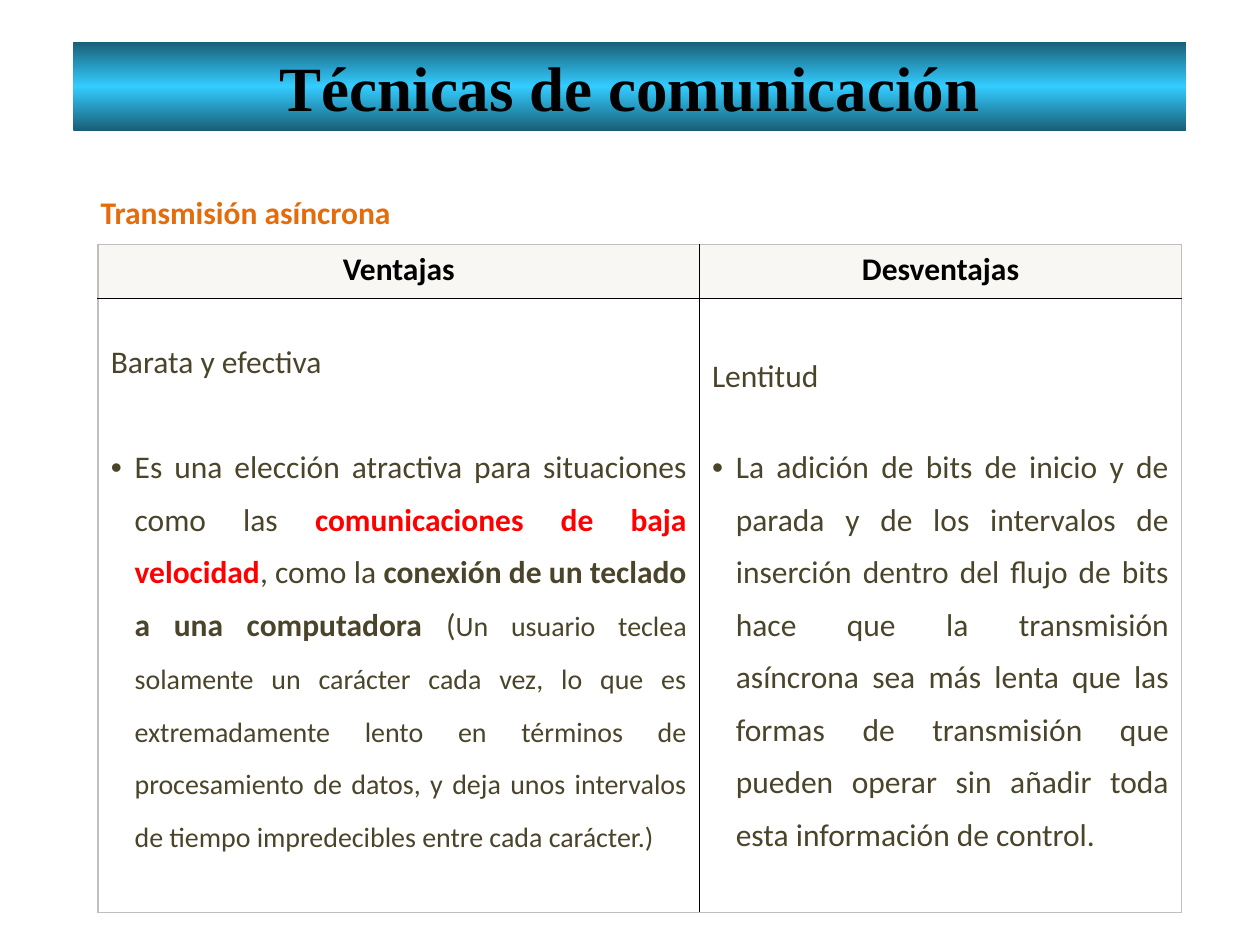
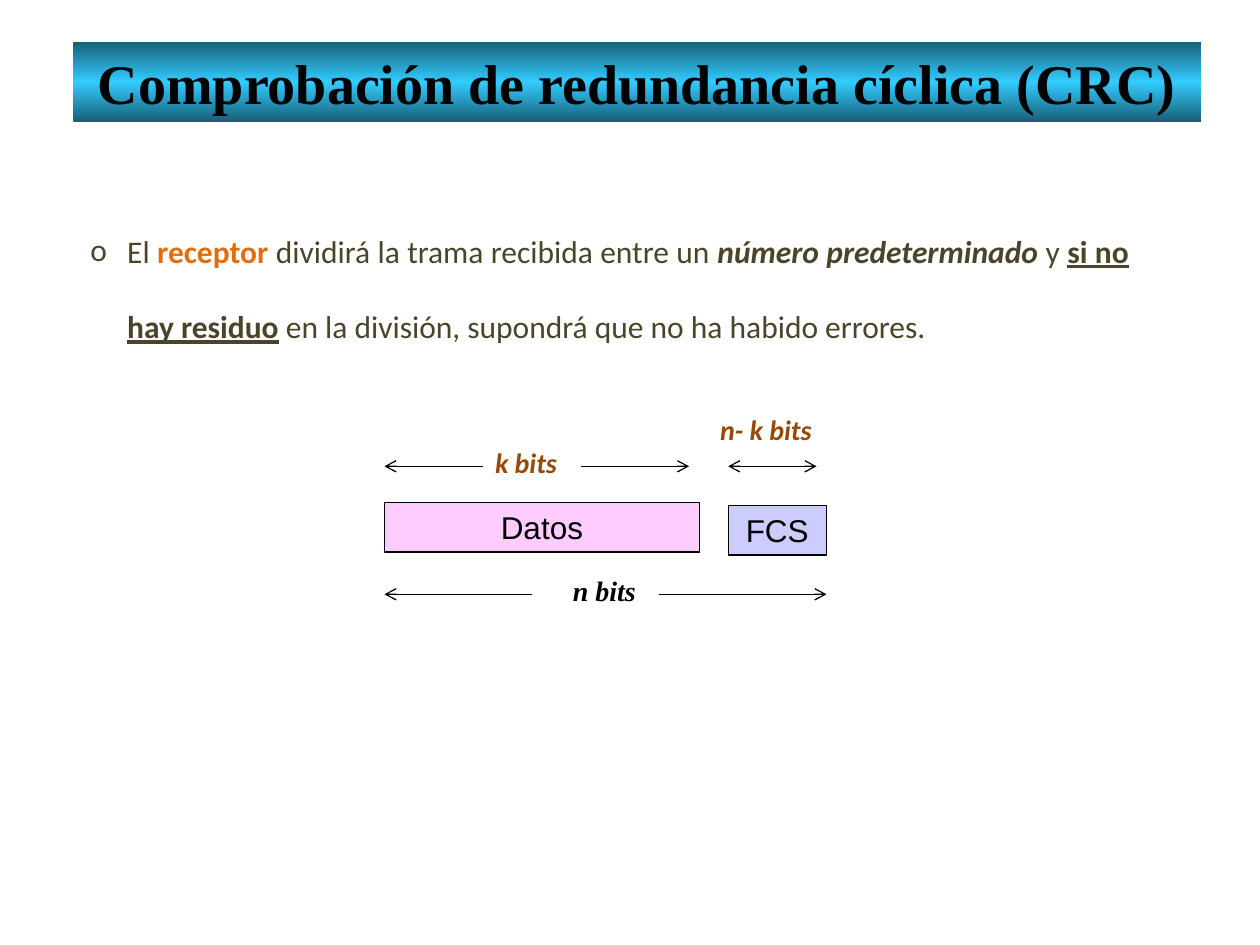
"""Build two slides on asynchronous transmission and cyclic redundancy checks."""
import dataclasses
import typing

import lxml.etree
import pptx
import pptx.dml.color
import pptx.enum.shapes
import pptx.enum.text
import pptx.oxml.ns
import pptx.util

ALIGN = pptx.enum.text.PP_ALIGN
SERIF, SANS, PLAIN = "Times New Roman", "Calibri", "Arial"
BLACK, OLIVE, ORANGE, BROWN, RED = "000000", "4A452A", "E46C0A", "984807", "FF0000"
GREY, CREAM, PINK, LILAC = "BFBFBF", "F8F7F3", "FFCCFF", "CCCCFF"
BAND = ((0, "185E76"), (50, "33CCFF"), (100, "185E76"))
ARROW_Y, TOTAL_Y = 9.4, 11.98


@dataclasses.dataclass
class Box:
    """Place and size in centimetres."""
    left: float
    top: float
    width: float
    height: float

    def edges(self) -> list:
        """Return left, top, width and height as lengths."""
        return [pptx.util.Cm(side) for side in dataclasses.astuple(self)]


@dataclasses.dataclass
class Label:
    """A short caption in bold italics."""
    text: str
    box: Box
    font: str
    color: str


@dataclasses.dataclass
class Field:
    """A filled part of the frame."""
    text: str
    box: Box
    color: str


@dataclasses.dataclass
class Arrow:
    """A level arrow from start to stop."""
    start: float
    stop: float
    top: float
    both: bool = False


def paint(code: str) -> pptx.dml.color.RGBColor:
    """Turn a hex string into a colour."""
    return pptx.dml.color.RGBColor.from_string(code)


def add(parent: typing.Any, tag: str, **attrs: str) -> typing.Any:
    """Append a drawing element to its parent."""
    return lxml.etree.SubElement(parent, pptx.oxml.ns.qn(f"a:{tag}"), attrs)


def tint(parent: typing.Any, code: str) -> None:
    """Add a solid fill element."""
    add(add(parent, "solidFill"), "srgbClr", val=code)


def write(para: typing.Any, text: str, size: float = 18, font: str = SANS,
          color: str = OLIVE, bold: bool = False, italic: bool = False,
          under: bool = False) -> None:
    """Add a formatted run to a paragraph."""
    run = para.add_run()
    run.text = text
    face = run.font
    face.size, face.name = pptx.util.Pt(size), font
    face.bold, face.italic, face.underline = bold, italic, under
    face.color.rgb = paint(color)


def layout(para: typing.Any, align: typing.Any = ALIGN.LEFT, line: typing.Any = 1.0,
           before: float = 0, bullet: str = "", face: str = PLAIN,
           indent: float = 0) -> typing.Any:
    """Set the spacing, alignment and bullet of a paragraph."""
    para.alignment, para.line_spacing = align, line
    para.space_before = pptx.util.Pt(before)
    if bullet:
        props = para._p.get_or_add_pPr()
        shift = pptx.util.Cm(indent)
        props.set("marL", str(int(shift)))
        props.set("indent", str(-int(shift)))
        add(props, "buFont", typeface=face)
        add(props, "buChar", char=bullet)
    return para


def place(shape: typing.Any, box: Box) -> None:
    """Move and size a placeholder."""
    shape.left, shape.top, shape.width, shape.height = box.edges()
    shape.text_frame.auto_size = pptx.enum.text.MSO_AUTO_SIZE.NONE


def head(slide: typing.Any, text: str, box: Box, size: float) -> None:
    """Write the title on its gradient band."""
    title = slide.shapes.title
    place(title, box)
    blend = add(title.element.spPr, "gradFill", rotWithShape="1")
    stops = add(blend, "gsLst")
    for spot, code in BAND:
        add(add(stops, "gs", pos=str(spot * 1000)), "srgbClr", val=code)
    add(blend, "lin", ang="5400000", scaled="0")
    title.text_frame.vertical_anchor = pptx.enum.text.MSO_ANCHOR.MIDDLE
    para = layout(title.text_frame.paragraphs[0], ALIGN.CENTER)
    write(para, text, size=size, font=SERIF, color=BLACK, bold=True)


def note(slide: typing.Any, box: Box) -> typing.Any:
    """Add a text box and return its first paragraph."""
    frame = slide.shapes.add_textbox(*box.edges()).text_frame
    frame.word_wrap = True
    return frame.paragraphs[0]


def draw_label(slide: typing.Any, label: Label) -> None:
    """Draw a caption."""
    write(note(slide, label.box), label.text, size=16, font=label.font,
          color=label.color, bold=True, italic=True)


def draw_field(slide: typing.Any, field: Field) -> None:
    """Draw a part of the frame."""
    shape = slide.shapes.add_shape(pptx.enum.shapes.MSO_SHAPE.RECTANGLE, *field.box.edges())
    shape.shadow.inherit = False
    shape.fill.solid()
    shape.fill.fore_color.rgb = paint(field.color)
    shape.line.color.rgb = paint(BLACK)
    shape.line.width = pptx.util.Pt(0.75)
    para = layout(shape.text_frame.paragraphs[0], ALIGN.CENTER)
    write(para, field.text, font=PLAIN, color=BLACK)


def draw_arrow(slide: typing.Any, arrow: Arrow) -> None:
    """Draw a thin arrow with open tips."""
    start, stop, top = map(pptx.util.Cm, (arrow.start, arrow.stop, arrow.top))
    line = slide.shapes.add_connector(
        pptx.enum.shapes.MSO_CONNECTOR.STRAIGHT, start, top, stop, top)
    line.line.color.rgb = paint(BLACK)
    line.line.width = pptx.util.Pt(0.75)
    stroke = line.line._get_or_add_ln()
    if arrow.both:
        add(stroke, "headEnd", type="arrow")
    add(stroke, "tailEnd", type="arrow")
    add(line.element.spPr, "effectLst")


def border(cell: typing.Any, row: int, col: int) -> None:
    """Draw black inner lines and grey outer lines around a cell."""
    props = cell._tc.get_or_add_tcPr()
    inner = {"lnL": col == 1, "lnR": col == 0, "lnT": row == 1, "lnB": row == 0}
    for side, dark in inner.items():
        tint(add(props, side, w="12700"), BLACK if dark else GREY)


def make_table(slide: typing.Any) -> typing.Any:
    """Add the table with its header row and return it."""
    frame = slide.shapes.add_table(2, 2, *Box(1.98, 4.93, 21.84, 13.46).edges())
    table = frame.table
    table.horz_banding = table.first_row = False
    for col, width in enumerate((12.12, 9.72)):
        table.columns[col].width = pptx.util.Cm(width)
    for row, height in enumerate((1.09, 12.37)):
        table.rows[row].height = pptx.util.Cm(height)
        for col in range(2):
            cell = table.cell(row, col)
            border(cell, row, col)
            if row:
                cell.fill.background()
                cell.margin_top = pptx.util.Cm(0.91)
            else:
                cell.fill.solid()
                cell.fill.fore_color.rgb = paint(CREAM)
    for col, text in enumerate(("Ventajas", "Desventajas")):
        para = layout(table.cell(0, col).text_frame.paragraphs[0], ALIGN.CENTER)
        write(para, text, color=BLACK, bold=True)
    return table


def fill_cell(cell: typing.Any, lead: str, line: typing.Any, before: float) -> typing.Any:
    """Write the lead line and return the bulleted paragraph below it."""
    frame = cell.text_frame
    write(layout(frame.paragraphs[0], line=line), lead)
    return layout(frame.add_paragraph(), ALIGN.JUSTIFY, pptx.util.Pt(30),
                  before, "•", indent=0.48)


def build_async(deck: typing.Any) -> None:
    """Build the slide on asynchronous transmission."""
    slide = deck.slides.add_slide(deck.slide_layouts[5])
    head(slide, "Técnicas de comunicación", Box(1.48, 0.84, 22.43, 1.8), 36)
    para = layout(note(slide, Box(1.78, 3, 7.92, 1.55)), ALIGN.JUSTIFY, 2.0)
    write(para, "Transmisión asíncrona", color=ORANGE, bold=True)
    table = make_table(slide)
    para = fill_cell(table.cell(1, 0), "Barata y efectiva", 1.0, 30)
    write(para, "Es una elección atractiva para situaciones como las ")
    write(para, "comunicaciones de baja velocidad", color=RED, bold=True)
    write(para, ", como la ")
    write(para, "conexión de un teclado a una computadora ", bold=True)
    write(para, "(")
    write(para, "Un usuario teclea solamente un carácter cada vez, lo que es "
          "extremadamente lento en términos de procesamiento de datos, y deja unos "
          "intervalos de tiempo impredecibles entre cada carácter.)", size=16)
    para = fill_cell(table.cell(1, 1), "Lentitud", pptx.util.Pt(30), 22)
    write(para, "La adición de bits de inicio y de parada y de los intervalos de "
          "inserción dentro del flujo de bits hace que la transmisión asíncrona sea "
          "más lenta que las formas de transmisión que pueden operar sin añadir toda "
          "esta información de control.")


def build_check(deck: typing.Any) -> None:
    """Build the slide on the cyclic redundancy check."""
    slide = deck.slides.add_slide(deck.slide_layouts[1])
    head(slide, "Comprobación de redundancia cíclica (CRC)", Box(1.48, 0.84, 22.73, 1.62), 32)
    body = slide.placeholders[1]
    place(body, Box(1.57, 3.78, 21.44, 3.12))
    para = layout(body.text_frame.paragraphs[0], ALIGN.JUSTIFY, 2.0,
                  bullet="o", face=SANS, indent=0.74)
    write(para, "El ")
    write(para, "receptor ", color=ORANGE, bold=True)
    write(para, "dividirá la trama recibida entre un ")
    write(para, "número predeterminado", bold=True, italic=True)
    write(para, " y ")
    write(para, "si no hay residuo", bold=True, under=True)
    write(para, " en la división, supondrá que no ha habido errores.")
    for field in (Field("Datos", Box(7.75, 10.13, 6.35, 1), PINK),
                  Field("FCS", Box(14.68, 10.19, 1.98, 1), LILAC)):
        draw_field(slide, field)
    for arrow in (Arrow(14.68, 16.46, ARROW_Y, both=True),
                  Arrow(11.71, 13.89, ARROW_Y), Arrow(9.73, 7.75, ARROW_Y),
                  Arrow(13.28, 16.66, TOTAL_Y), Arrow(10.72, 7.75, TOTAL_Y)):
        draw_arrow(slide, arrow)
    for label in (Label("n- k bits", Box(14.27, 8.2, 2.59, 0.94), SANS, BROWN),
                  Label("k bits", Box(9.73, 8.86, 2.18, 0.94), SANS, BROWN),
                  Label("n bits", Box(11.3, 11.43, 2.18, 0.94), SERIF, BLACK)):
        draw_label(slide, label)


def main() -> None:
    """Build and save the deck."""
    deck = pptx.Presentation()
    deck.slide_width, deck.slide_height = pptx.util.Cm(25.4), pptx.util.Cm(19.05)
    build_async(deck)
    build_check(deck)
    deck.save("out.pptx")


if __name__ == "__main__":
    main()
